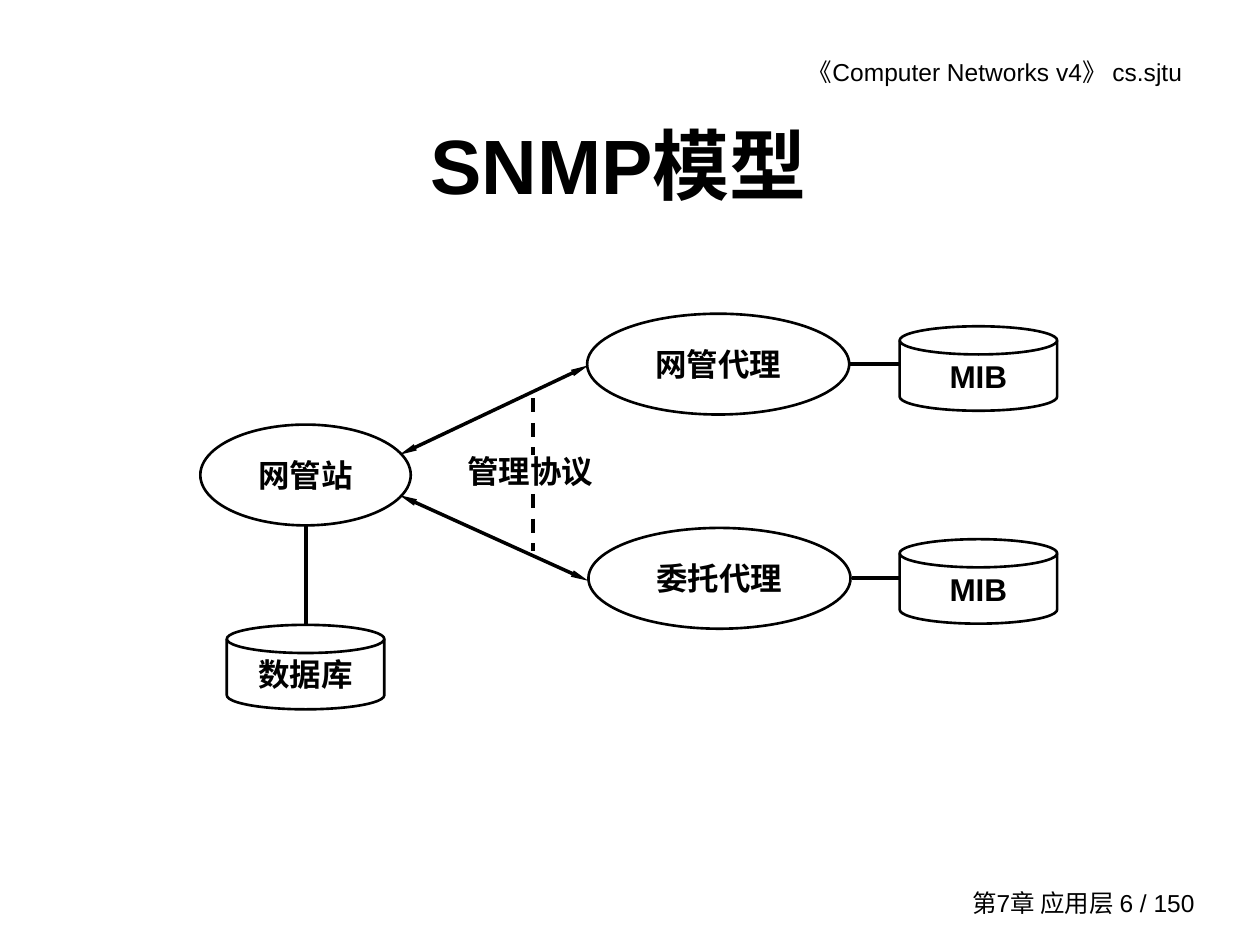
from lxml.etree import SubElement
from pptx import Presentation
from pptx.dml.color import RGBColor
from pptx.enum.dml import MSO_LINE
from pptx.enum.shapes import MSO_CONNECTOR, MSO_SHAPE
from pptx.enum.text import MSO_ANCHOR, PP_ALIGN
from pptx.oxml.ns import qn
from pptx.util import Inches, Pt

COLORS = {"ink": "000000", "paper": "FFFFFF"}
FONT = "Arial"

# Text: wording, (left, top, width, height), size, bold, alignment, anchor
TEXTS = [
    ("《Computer Networks v4》 cs.sjtu", (5.28, 0.4, 4.2, 0.34), 14, False,
     PP_ALIGN.RIGHT, MSO_ANCHOR.TOP),
    ("第7章 应用层 6 / 150", (7.32, 7, 2.26, 0.33), 14, False,
     PP_ALIGN.RIGHT, MSO_ANCHOR.MIDDLE),
    ("SNMP模型", (0.66, 0.67, 8.5, 1.25), 44, True,
     PP_ALIGN.CENTER, MSO_ANCHOR.MIDDLE),
    ("管理协议", (3.52, 3.53, 1.38, 0.41), 18, True,
     PP_ALIGN.CENTER, MSO_ANCHOR.MIDDLE),
]

# Nodes: wording, left, top, width
ELLIPSE_HEIGHT = 0.8
ELLIPSES = [
    ("网管站", 1.59, 3.37, 1.67),
    ("网管代理", 4.66, 2.49, 2.08),
    ("委托代理", 4.67, 4.19, 2.08),
]
STORE_SIZE = (1.25, 0.67)
STORES = [("数据库", 1.8, 4.96), ("MIB", 7.14, 2.59), ("MIB", 7.14, 4.28)]

# Lines: start x, start y, end x, end y
PROTOCOL_ARROWS = [(3.17, 3.61, 4.67, 2.9), (3.17, 3.93, 4.67, 4.61)]
STORE_LINKS = [
    (2.43, 4.17, 2.43, 4.96),
    (6.74, 2.89, 7.14, 2.89),
    (6.76, 4.59, 7.14, 4.59),
]
LABEL_DASHES = [(4.23, 3.16, 4.23, 3.61), (4.23, 3.92, 4.23, 4.37)]


def color(name):
    return RGBColor.from_string(COLORS[name])


def write(shape, wording, size=18, bold=True, align=PP_ALIGN.CENTER,
          anchor=MSO_ANCHOR.MIDDLE, wrap=True):
    frame = shape.text_frame
    frame.text = wording
    frame.word_wrap = wrap
    frame.vertical_anchor = anchor
    para = frame.paragraphs[0]
    para.alignment = align
    font = para.runs[0].font
    font.name, font.size, font.bold = FONT, Pt(size), bold
    font.color.rgb = color("ink")


def add_node(page, kind, wording, *place):
    node = page.shapes.add_shape(kind, *map(Inches, place))
    node.shadow.inherit = False
    node.fill.background()
    node.line.color.rgb = color("ink")
    node.line.width = Pt(1.5)
    write(node, wording)


def add_line(page, ends, width, dashed=False, arrows=False):
    connector = page.shapes.add_connector(
        MSO_CONNECTOR.STRAIGHT, *map(Inches, ends))
    line = connector.line
    line.color.rgb = color("ink")
    line.width = Pt(width)
    if dashed:
        line.dash_style = MSO_LINE.DASH
    properties = connector.element.spPr
    if arrows:
        outline = properties.find(qn("a:ln"))
        for end in ("a:headEnd", "a:tailEnd"):
            SubElement(outline, qn(end), type="triangle", w="sm", len="lg")
    SubElement(properties, qn("a:effectLst"))


def main():
    deck = Presentation()
    deck.slide_width, deck.slide_height = Inches(10), Inches(7.5)
    page = deck.slides.add_slide(deck.slide_layouts[6])
    page.background.fill.solid()
    page.background.fill.fore_color.rgb = color("paper")

    # Managers, agents and their data stores
    for wording, left, top, width in ELLIPSES:
        add_node(page, MSO_SHAPE.OVAL, wording, left, top, width, ELLIPSE_HEIGHT)
    for wording, left, top in STORES:
        add_node(page, MSO_SHAPE.FLOWCHART_MAGNETIC_DISK, wording,
                 left, top, *STORE_SIZE)

    # Connections
    for ends in PROTOCOL_ARROWS:
        add_line(page, ends, 2, arrows=True)
    for ends in STORE_LINKS:
        add_line(page, ends, 2.25)
    for ends in LABEL_DASHES:
        add_line(page, ends, 2, dashed=True)

    # Header, footer, title and protocol label
    for wording, place, *style in TEXTS:
        box = page.shapes.add_textbox(*map(Inches, place))
        write(box, wording, *style)

    deck.save("out.pptx")


if __name__ == "__main__":
    main()
